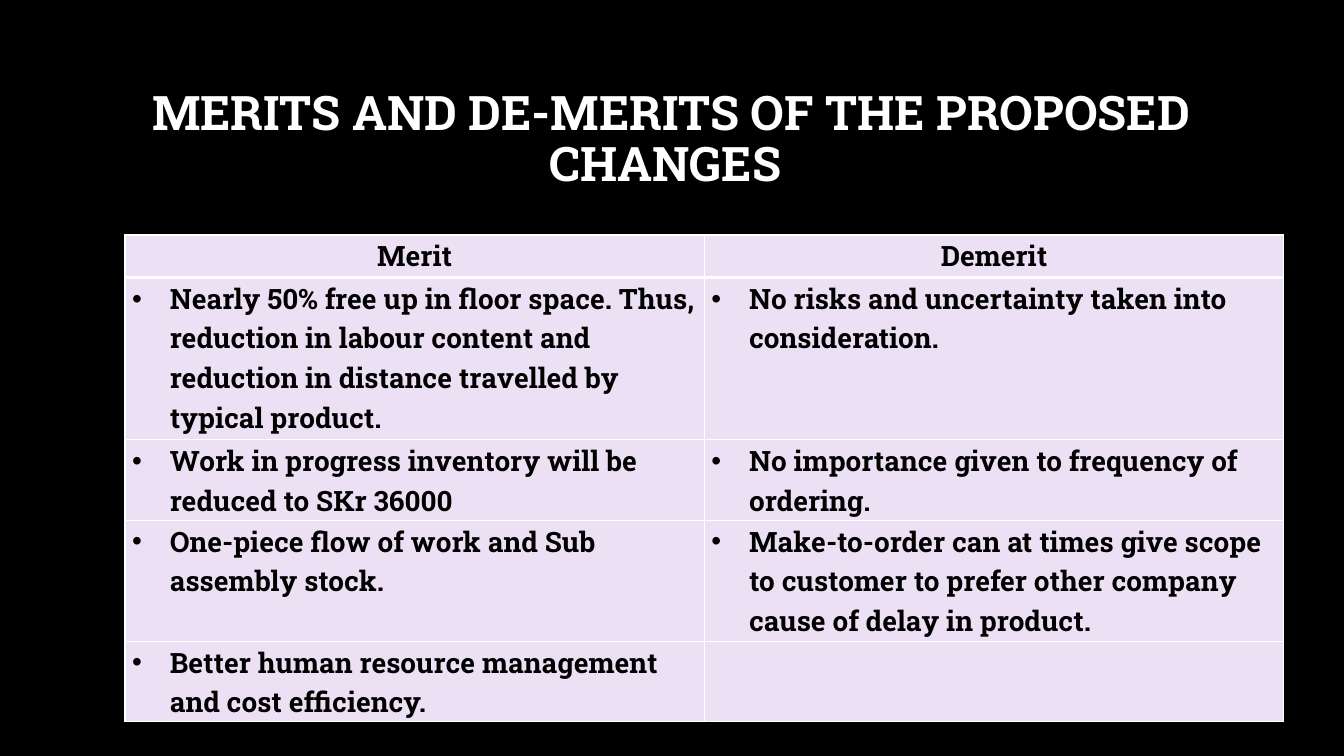
from typing import NamedTuple

from lxml.etree import SubElement
from pptx import Presentation
from pptx.dml.color import RGBColor
from pptx.enum.text import MSO_ANCHOR, PP_ALIGN
from pptx.oxml.ns import qn
from pptx.util import Cm, Pt

BLACK = RGBColor(0x00, 0x00, 0x00)
WHITE = RGBColor(0xFF, 0xFF, 0xFF)
LILAC = RGBColor(0xEB, 0xE0, 0xF4)
FONT = "Roboto Slab"
COLUMN_WIDTH = Cm(14.6)
BULLET_INDENT = Cm(0.95)
TITLE = "MERITS AND DE-MERITS OF THE PROPOSED CHANGES "


class ComparisonRow(NamedTuple):
    merit: str
    demerit: str
    height: float
    is_header: bool = False


ROWS = [
    ComparisonRow("Merit", "Demerit", 1.07, True),
    ComparisonRow(
        "Nearly 50% free up in floor space. Thus, reduction in labour content "
        "and reduction in distance travelled by typical product.",
        "No risks and uncertainty taken into consideration.", 4.09),
    ComparisonRow(
        "Work in progress inventory will be reduced to SKr 36000",
        "No importance given to frequency of ordering.", 2.03),
    ComparisonRow(
        "One-piece flow of work and Sub assembly stock.",
        "Make-to-order can at times give scope to customer to prefer other "
        "company cause of delay in product.", 3.05),
    ComparisonRow("Better human resource management and cost efficiency.", "", 2.03),
]


def add_bold_run(paragraph, text: str, size: int, color: RGBColor) -> None:
    run = paragraph.add_run()
    run.text = text
    run.font.name = FONT
    run.font.size = Pt(size)
    run.font.bold = True
    run.font.color.rgb = color


def add_bullet(paragraph) -> None:
    properties = paragraph._p.get_or_add_pPr()
    properties.set("marL", str(BULLET_INDENT))
    properties.set("indent", str(-BULLET_INDENT))
    SubElement(properties, qn("a:buFont"), typeface="Arial")
    SubElement(properties, qn("a:buChar"), char="•")


def set_border(cell, side: str, width: float) -> None:
    line = SubElement(cell._tc.get_or_add_tcPr(), qn(f"a:ln{side}"), w=str(Pt(width)))
    fill = SubElement(line, qn("a:solidFill"))
    SubElement(fill, qn("a:srgbClr"), val=str(WHITE))


def fill_cell(cell, text: str, is_header: bool, below_header: bool) -> None:
    """Style one table cell and write its heading or bullet."""
    cell.margin_left = cell.margin_right = Cm(0.18)
    cell.margin_top = cell.margin_bottom = 0
    thick_sides = {"B"} if is_header else {"T"} if below_header else set()
    for side in "LRTB":
        set_border(cell, side, 3 if side in thick_sides else 1)
    cell.fill.solid()
    cell.fill.fore_color.rgb = LILAC
    if not text:
        return
    paragraph = cell.text_frame.paragraphs[0]
    paragraph.line_spacing = 1.07
    if is_header:
        paragraph.alignment = PP_ALIGN.CENTER
    else:
        add_bullet(paragraph)
    add_bold_run(paragraph, text, 20, BLACK)


def add_title(slide) -> None:
    text_frame = slide.shapes.add_textbox(
        Cm(2.54), Cm(1.7), Cm(28.75), Cm(3.68)).text_frame
    text_frame.word_wrap = True
    text_frame.vertical_anchor = MSO_ANCHOR.MIDDLE
    paragraph = text_frame.paragraphs[0]
    paragraph.alignment = PP_ALIGN.CENTER
    paragraph.line_spacing = 0.9
    add_bold_run(paragraph, TITLE, 34, WHITE)


def add_comparison_table(slide) -> None:
    total_height = Cm(sum(row.height for row in ROWS))
    table = slide.shapes.add_table(
        len(ROWS), 2, Cm(3.15), Cm(5.92), 2 * COLUMN_WIDTH, total_height).table
    table.horz_banding = False
    for column in table.columns:
        column.width = COLUMN_WIDTH
    for index, row in enumerate(ROWS):
        table.rows[index].height = Cm(row.height)
        for column_index, text in enumerate((row.merit, row.demerit)):
            fill_cell(table.cell(index, column_index), text, row.is_header, index == 1)


def main() -> None:
    presentation = Presentation()
    presentation.slide_width = Cm(33.87)
    presentation.slide_height = Cm(19.05)
    slide = presentation.slides.add_slide(presentation.slide_layouts[6])
    slide.background.fill.solid()
    slide.background.fill.fore_color.rgb = BLACK
    add_title(slide)
    add_comparison_table(slide)
    presentation.save("out.pptx")


if __name__ == "__main__":
    main()
